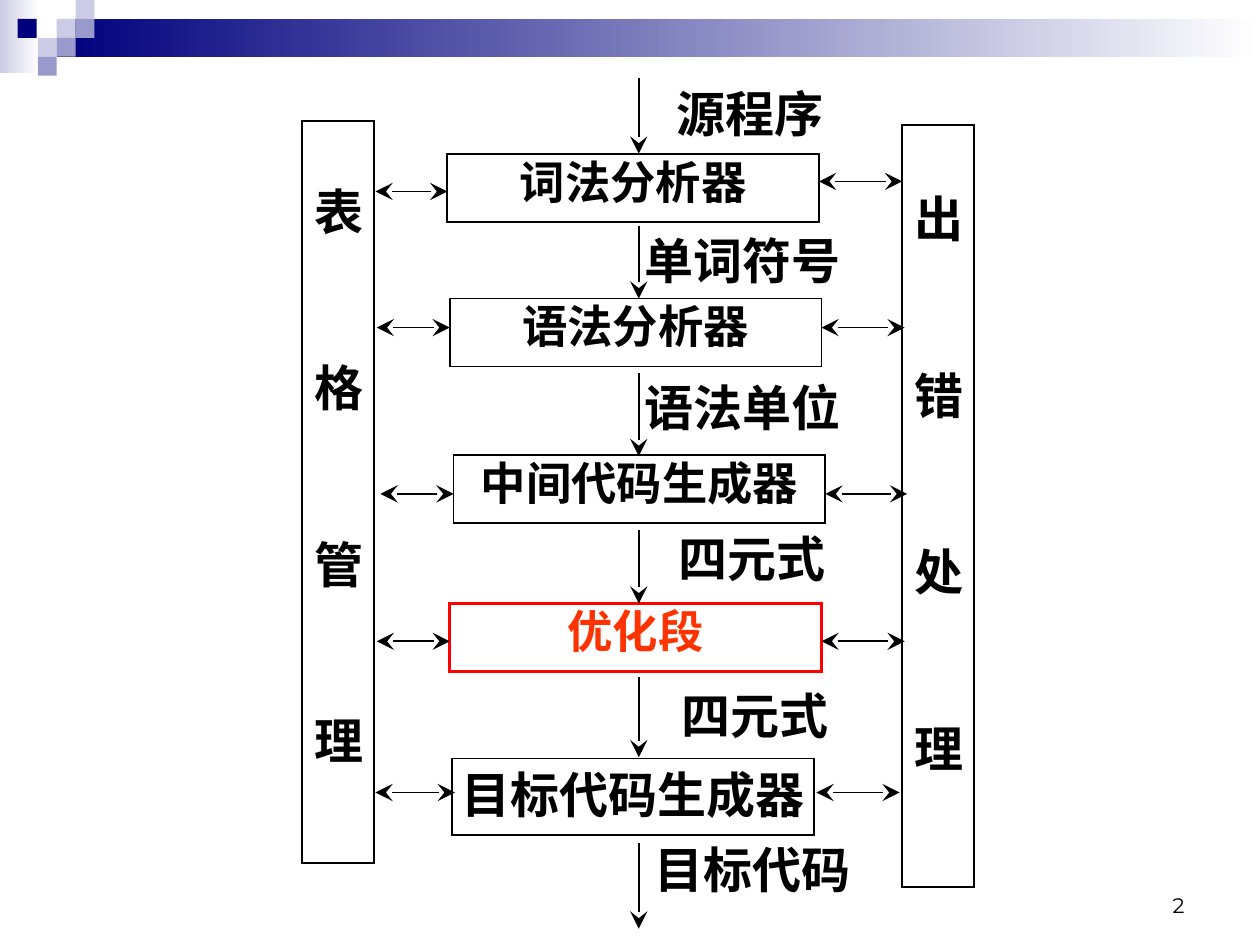
from dataclasses import dataclass

from pptx import Presentation
from pptx.dml.color import RGBColor
from pptx.enum.shapes import MSO_CONNECTOR, MSO_SHAPE
from pptx.enum.text import MSO_ANCHOR, PP_ALIGN
from pptx.oxml.ns import qn
from pptx.util import Emu, Inches, Pt
from lxml import etree

RECTANGLE = MSO_SHAPE.RECTANGLE
STRAIGHT = MSO_CONNECTOR.STRAIGHT
TOP, MIDDLE, BOTTOM = MSO_ANCHOR.TOP, MSO_ANCHOR.MIDDLE, MSO_ANCHOR.BOTTOM
CENTER, RIGHT = PP_ALIGN.CENTER, PP_ALIGN.RIGHT

# The slide is a grid of 100 columns by 75 rows
COLUMNS, ROWS = 100, 75
WIDTH, HEIGHT = Inches(10), Inches(7.5)
FLOW_COLUMN = 50.7
TILE = 1.5

SERIF, SANS, NUMBER_FONT = "Times New Roman", "Noto Sans CJK SC", "Montserrat"
BLACK, RED, ORANGE = "000000", "FF0000", "FF3300"
NAVY, VIOLET, LAVENDER, WHITE = "00007D", "9999CC", "CCCCE6", "FFFFFF"


@dataclass
class Area:
    left: float
    top: float
    width: float
    height: float


@dataclass
class Stage:
    name: str
    area: Area
    left_link: tuple[float, float, float]   # inner column, outer column, row
    right_link: tuple[float, float, float]
    font: str = SANS
    size: float = 25.9
    spacing: float = 0.9
    side_inset: float = 0.1
    ink: str = BLACK
    border: str = BLACK
    border_width: float = 1


@dataclass
class Flow:
    label: str
    start: float
    end: float
    label_area: Area


@dataclass
class SideBar:
    characters: str
    area: Area
    top_inset: float


STAGES = [
    Stage("词法分析器", Area(35.5, 12.2, 29.5, 5.4),
          (35.5, 29.8, 15.2), (65, 71.6, 14.4), SERIF),
    Stage("语法分析器", Area(35.7, 23.7, 29.5, 5.4),
          (35.7, 29.9, 26), (65.2, 71.8, 26), SERIF),
    Stage("中间代码生成器", Area(36, 36.1, 29.5, 5.4),
          (36, 30.2, 39.2), (65.5, 72, 39.2)),
    Stage("优化段", Area(35.7, 47.9, 29.5, 5.4),
          (35.7, 29.9, 50.9), (65.2, 71.8, 50.9),
          ink=ORANGE, border=RED, border_width=1.75),
    Stage("目标代码生成器", Area(35.9, 60.2, 28.7, 6.1),
          (36.1, 29.8, 62.9), (64.8, 71.4, 62.9),
          size=28, spacing=1, side_inset=0.02),
]
# Label areas are wide enough for four characters on one line
FLOWS = [
    Flow("源程序", 6.2, 12.2, Area(52.3, 7.1, 14.4, 3.8)),
    Flow("单词符号", 17.9, 23.7, Area(50.7, 18.7, 16.4, 3.8)),
    Flow("语法单位", 29.6, 36.2, Area(50.7, 30.4, 16.4, 3.8)),
    Flow("四元式", 42.1, 47.9, Area(52.3, 42.6, 14.8, 3.4)),
    Flow("四元式", 53.7, 60.1, Area(52.6, 55, 14.6, 3.5)),
    Flow("目标代码", 66.9, 73.7, Area(51.5, 67.1, 16.4, 3.8)),
]
SIDE_BARS = [
    SideBar("表格管理", Area(24, 9.6, 5.7, 58.9), 0.39),
    SideBar("出错处理", Area(71.6, 9.9, 5.7, 60.5), 0.42),
]
# Tiles of the corner ornament: column, row, colour
TILES = [(4.5, 1.5, LAVENDER), (6, 0, LAVENDER), (6, 1.5, VIOLET),
         (3, 3, LAVENDER), (1.4, 1.5, NAVY), (4.5, 3, VIOLET), (3, 4.5, VIOLET)]

deck = Presentation()
deck.slide_width, deck.slide_height = WIDTH, HEIGHT
slide = deck.slides.add_slide(deck.slide_layouts[6])


def rgb(code: str) -> RGBColor:
    return RGBColor.from_string(code)


def x(columns: float) -> Emu:
    return Emu(round(WIDTH * columns / COLUMNS))


def y(rows: float) -> Emu:
    return Emu(round(HEIGHT * rows / ROWS))


def box(area: Area, fill=None, fade=None, border=None, border_width=1):
    """Rectangle with a plain fill, a fade to a second colour, or no fill."""
    shape = slide.shapes.add_shape(
        RECTANGLE, x(area.left), y(area.top), x(area.width), y(area.height))
    shape.shadow.inherit = False
    if fade:
        shape.fill.gradient()
        shape.fill.gradient_angle = 0
        for stop, position, color in zip(
                shape.fill.gradient_stops, (0, 1), (fill, fade)):
            stop.position, stop.color.rgb = position, rgb(color)
    elif fill:
        shape.fill.solid()
        shape.fill.fore_color.rgb = rgb(fill)
    else:
        shape.fill.background()
    if border:
        shape.line.color.rgb = rgb(border)
        shape.line.width = Pt(border_width)
        etree.SubElement(shape.line._get_or_add_ln(), qn("a:miter"))
    else:
        shape.line.fill.background()
    return shape


def text_box(area: Area):
    return slide.shapes.add_textbox(
        x(area.left), y(area.top), x(area.width), y(area.height))


def write(shape, *lines: str, font=SERIF, size=28, color=BLACK, bold=True,
          align=CENTER, anchor=TOP, wrap=True, side_inset=0.1, top_inset=0.05,
          spacing=1, gap=0) -> None:
    frame = shape.text_frame
    frame.word_wrap, frame.vertical_anchor = wrap, anchor
    frame.margin_left = frame.margin_right = Inches(side_inset)
    frame.margin_top, frame.margin_bottom = Inches(top_inset), Inches(0.05)
    for index, line in enumerate(lines):
        paragraph = frame.add_paragraph() if index else frame.paragraphs[0]
        paragraph.alignment, paragraph.line_spacing = align, spacing
        paragraph.space_after = Pt(gap)
        run = paragraph.add_run()
        run.text = line
        run.font.name, run.font.size, run.font.bold = font, Pt(size), bold
        run.font.color.rgb = rgb(color)
        east_asian = etree.SubElement(run.font._element, qn("a:ea"))
        east_asian.set("typeface", SANS)


def arrow(x1: float, y1: float, x2: float, y2: float, both=False) -> None:
    link = slide.shapes.add_connector(STRAIGHT, x(x1), y(y1), x(x2), y(y2))
    link.line.color.rgb = rgb(BLACK)
    link.line.width = Pt(1)
    outline = link.line._get_or_add_ln()
    for end in ("a:headEnd", "a:tailEnd") if both else ("a:tailEnd",):
        tip = etree.SubElement(outline, qn(end))
        for key, value in (("type", "stealth"), ("w", "lg"), ("len", "lg")):
            tip.set(key, value)
    etree.SubElement(link._element.spPr, qn("a:effectLst"))


# Corner ornament and title band
box(Area(0, 0, 3.1, 5.8), fill=LAVENDER, fade=WHITE)
box(Area(4.5, 1.5, 95.5, 3), fill=NAVY, fade=WHITE)
for column, row, color in TILES:
    box(Area(column, row, TILE, TILE), fill=color)

# Side bars, one character per line
for bar in SIDE_BARS:
    write(box(bar.area, border=BLACK), *bar.characters,
          top_inset=bar.top_inset, spacing=Pt(40), gap=60.9)

# Compiler stages with their links to both bars
for stage in STAGES:
    write(box(stage.area, border=stage.border, border_width=stage.border_width),
          stage.name, font=stage.font, size=stage.size, color=stage.ink,
          spacing=stage.spacing, side_inset=stage.side_inset)
    for inner, outer, row in (stage.left_link, stage.right_link):
        arrow(inner, row, outer, row, both=True)

# Data passed from stage to stage
for flow in FLOWS:
    arrow(FLOW_COLUMN, flow.start, FLOW_COLUMN, flow.end)
    write(text_box(flow.label_area), flow.label, anchor=MIDDLE, wrap=False,
          side_inset=0)

# Slide number
write(text_box(Area(71.7, 68.3, 23.3, 5)), "2", font=NUMBER_FONT, size=12,
      bold=False, align=RIGHT, anchor=BOTTOM)

deck.save("out.pptx")
